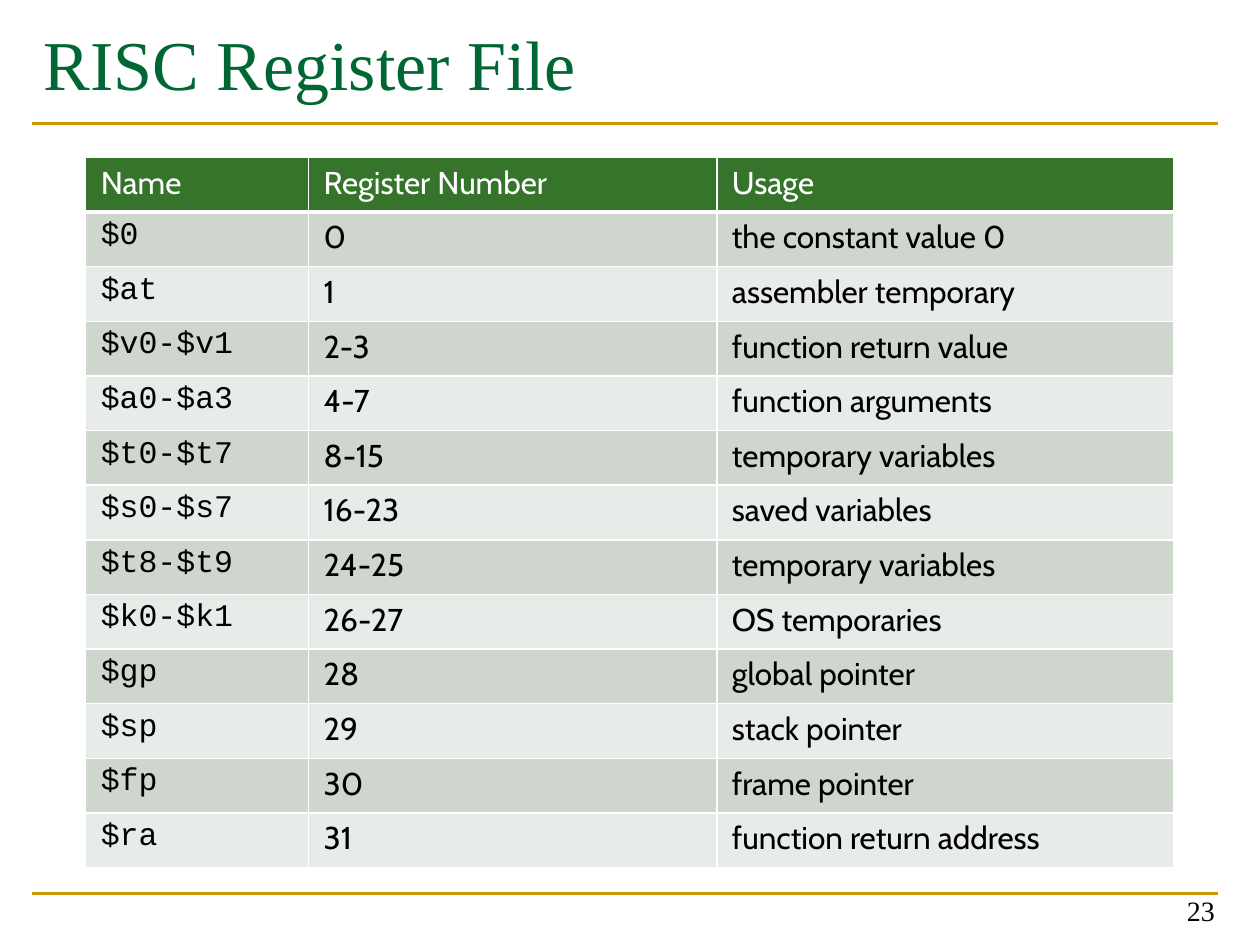
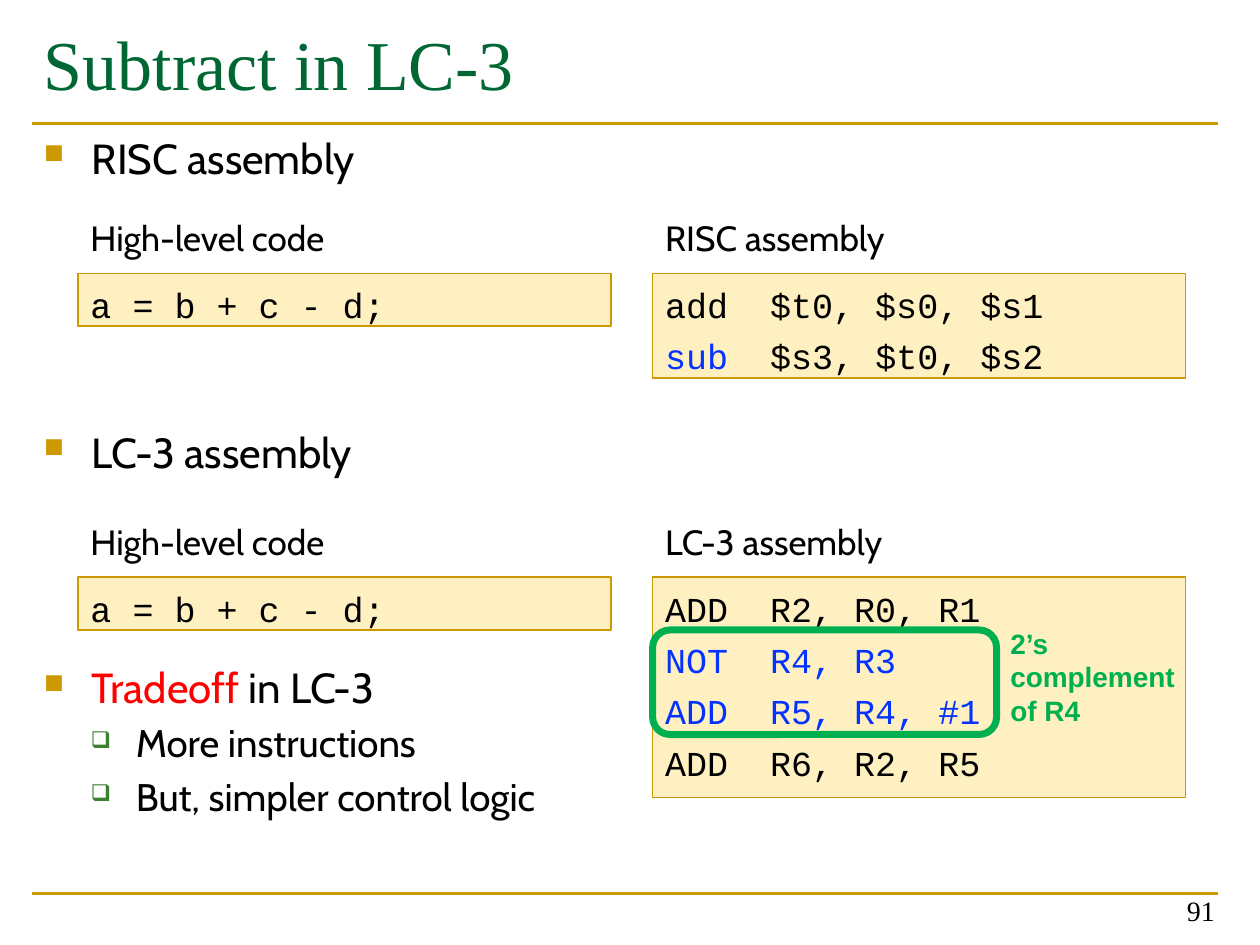
from lxml import etree
from pptx import Presentation
from pptx.dml.color import RGBColor
from pptx.enum.shapes import MSO_CONNECTOR, MSO_SHAPE
from pptx.enum.text import MSO_ANCHOR, PP_ALIGN
from pptx.oxml.ns import qn
from pptx.util import Inches, Pt

BLACK, WHITE, RED, BLUE = "000000", "FFFFFF", "FF0000", "0432FF"
GOLD, CREAM, TITLE_GREEN, MARK_GREEN = "CC9900", "FFF0C2", "006633", "00B050"
HEADER_GREEN, BANDS = "35742A", ("CED6CD", "E8ECE8")
SERIF, SANS, MONO, LABEL = "Times New Roman", "Cabin", "Courier New", "Arial"
LEFT, WIDTH = 0.25, 9.42
BLANK_LINE = 33.6

# bullet level: character, colour, size percent, margin, hanging indent, text size
LEVELS = (("■", GOLD, 65, 0.38, 0.38, 24), ("❑", "3B812F", 60, 0.73, 0.36, 22))

REGISTERS = [
    ("Name", "Register Number", "Usage"),
    ("$0", "0", "the constant value 0"),
    ("$at", "1", "assembler temporary"),
    ("$v0-$v1", "2-3", "function return value"),
    ("$a0-$a3", "4-7", "function arguments"),
    ("$t0-$t7", "8-15", "temporary variables"),
    ("$s0-$s7", "16-23", "saved variables"),
    ("$t8-$t9", "24-25", "temporary variables"),
    ("$k0-$k1", "26-27", "OS temporaries"),
    ("$gp", "28", "global pointer"),
    ("$sp", "29", "stack pointer"),
    ("$fp", "30", "frame pointer"),
    ("$ra", "31", "function return address"),
]


def color(hex_string):
    return RGBColor.from_string(hex_string)


def add_child(parent, tag, **attributes):
    child = etree.SubElement(parent, qn(tag))
    for name, value in attributes.items():
        child.set(name, str(value))
    return child


def add_color(parent, tag, hex_string):
    add_child(add_child(parent, tag), "a:srgbClr", val=hex_string)


class Deck:
    """Holds the shared style and the slide being built."""

    def __init__(self):
        self.presentation = Presentation()
        self.presentation.slide_width = Inches(10)
        self.presentation.slide_height = Inches(7.5)
        self.slide = None

    def new_slide(self, title, number):
        self.slide = self.presentation.slides.add_slide(self.presentation.slide_layouts[6])
        for y in (7.09, 0.98):
            self.rule(y)
        self.text((LEFT, 0, WIDTH, 1), title, 40, SERIF, TITLE_GREEN, MSO_ANCHOR.MIDDLE)
        frame = self.text((7.41, 6.91, 2.33, 0.5), number, 16, SERIF, anchor=MSO_ANCHOR.BOTTOM)
        frame.paragraphs[0].alignment = PP_ALIGN.RIGHT

    def rule(self, y):
        line = self.slide.shapes.add_connector(
            MSO_CONNECTOR.STRAIGHT, Inches(LEFT), Inches(y), Inches(LEFT + WIDTH), Inches(y))
        line.line.color.rgb = color(GOLD)
        line.line.width = Pt(1.5)
        add_child(line._element.spPr, "a:effectLst")

    def style(self, run, size, font, hex_string, bold=False):
        run.font.size = Pt(size)
        run.font.name = font
        run.font.bold = bold
        run.font.color.rgb = color(hex_string)

    def runs(self, paragraph, parts, size, font):
        """Fill a paragraph from (text, colour) pairs."""
        for text, hex_string in parts:
            run = paragraph.add_run()
            run.text = text
            self.style(run, size, font, hex_string)

    def text_box(self, box, anchor=MSO_ANCHOR.TOP):
        frame = self.slide.shapes.add_textbox(*map(Inches, box)).text_frame
        frame.word_wrap = True
        frame.vertical_anchor = anchor
        return frame

    def text(self, box, text, size, font, hex_string=BLACK, anchor=MSO_ANCHOR.TOP, bold=False):
        frame = self.text_box(box, anchor)
        frame.text = text
        self.style(frame.paragraphs[0].runs[0], size, font, hex_string, bold)
        return frame

    def shape(self, kind, box, line, line_width, fill=None):
        shape = self.slide.shapes.add_shape(kind, *map(Inches, box))
        shape.shadow.inherit = False
        shape.line.color.rgb = color(line)
        shape.line.width = Pt(line_width)
        if fill:
            shape.fill.solid()
            shape.fill.fore_color.rgb = color(fill)
        else:
            shape.fill.background()
        return shape

    def code(self, caption, left, top, height, lines):
        """Place a caption with a code box below it; top is that of the code box."""
        self.text((left, top - 0.5, 4.23, 0.5), caption, 20, SANS)
        box = self.shape(MSO_SHAPE.RECTANGLE, (left, top, 4.23, height), GOLD, 1, CREAM)
        frame = box.text_frame
        frame.word_wrap = True
        frame.vertical_anchor = MSO_ANCHOR.TOP
        frame.margin_top, frame.margin_bottom = Inches(0.08), 0
        for index, parts in enumerate(lines):
            paragraph = frame.add_paragraph() if index else frame.paragraphs[0]
            paragraph.alignment = PP_ALIGN.LEFT
            if index:
                paragraph.space_before = Pt(5.3)
            self.runs(paragraph, parts, 20, MONO)

    def bullets(self, box, items):
        """Items are (level, blank lines above, parts)."""
        frame = self.text_box(box)
        for index, (level, gap, parts) in enumerate(items):
            character, bullet_color, percent, margin, hanging, size = LEVELS[level]
            paragraph = frame.add_paragraph() if index else frame.paragraphs[0]
            properties = paragraph._p.get_or_add_pPr()
            properties.set("marL", str(Inches(margin)))
            properties.set("indent", str(-Inches(hanging)))
            add_color(properties, "a:buClr", bullet_color)
            add_child(properties, "a:buSzPct", val=percent * 1000)
            add_child(properties, "a:buChar", char=character)
            if index:
                paragraph.space_before = Pt(size * 0.2 + gap * BLANK_LINE)
            self.runs(paragraph, parts, size, SANS)

    def borders(self, cell, top, bottom):
        properties = cell._tc.get_or_add_tcPr()
        for position, (side, width) in enumerate(
                (("L", 1), ("R", 1), ("T", top), ("B", bottom))):
            line = add_child(properties, f"a:ln{side}", w=Pt(width))
            add_color(line, "a:solidFill", WHITE)
            properties.insert(position, line)

    def table(self, box, widths, rows):
        table = self.slide.shapes.add_table(len(rows), len(widths), *map(Inches, box)).table
        for column, width in zip(table.columns, widths):
            column.width = Inches(width)
        for row_index, values in enumerate(rows):
            header = row_index == 0
            for column_index, value in enumerate(values):
                cell = table.cell(row_index, column_index)
                cell.fill.solid()
                cell.fill.fore_color.rgb = color(
                    HEADER_GREEN if header else BANDS[(row_index - 1) % 2])
                cell.margin_left = cell.margin_right = Inches(0.12)
                self.borders(cell, 3 if row_index == 1 else 1, 3 if header else 1)
                cell.text = value
                font = MONO if column_index == 0 and not header else SANS
                self.style(cell.text_frame.paragraphs[0].runs[0], 18, font,
                           WHITE if header else BLACK)


def register_slide(deck):
    deck.new_slide("RISC Register File", "23")
    deck.table((0.68, 1.25, 8.64, 5.64), (1.77, 3.24, 3.63), REGISTERS)


def subtract_slide(deck):
    deck.new_slide("Subtract in LC-3", "91")
    deck.bullets((LEFT, 1, WIDTH, 6.08), [
        (0, 0, [("RISC assembly", BLACK)]),
        (0, 4, [("LC-3 assembly", BLACK)]),
        (0, 3, [("Tradeoff", RED), (" in LC-3", BLACK)]),
        (1, 0, [("More instructions", BLACK)]),
        (1, 0, [("But, simpler control logic", BLACK)]),
    ])
    examples = [
        (2.17, "RISC assembly", 0.83, [
            [("add  $t0, $s0, $s1", BLACK)],
            [("sub", BLUE), ("  $s3, $t0, $s2", BLACK)],
        ]),
        (4.58, "LC-3 assembly", 1.75, [
            [("ADD  R2, R0, R1", BLACK)],
            [("NOT  R4, R3", BLUE)],
            [("ADD  R5, R4, #1", BLUE)],
            [("ADD  R6, R2, R5", BLACK)],
        ]),
    ]
    for top, caption, height, lines in examples:
        deck.code("High-level code", 0.62, top, 0.42, [[("a = b + c - d;", BLACK)]])
        deck.code(caption, 5.18, top, height, lines)
    deck.shape(MSO_SHAPE.ROUNDED_RECTANGLE, (5.18, 5, 2.73, 0.83), MARK_GREEN, 4)
    deck.text((7.92, 4.92, 1.58, 0.91), "2’s complement of R4", 16, LABEL, MARK_GREEN, bold=True)


def main():
    deck = Deck()
    register_slide(deck)
    subtract_slide(deck)
    deck.presentation.save("out.pptx")


if __name__ == "__main__":
    main()
